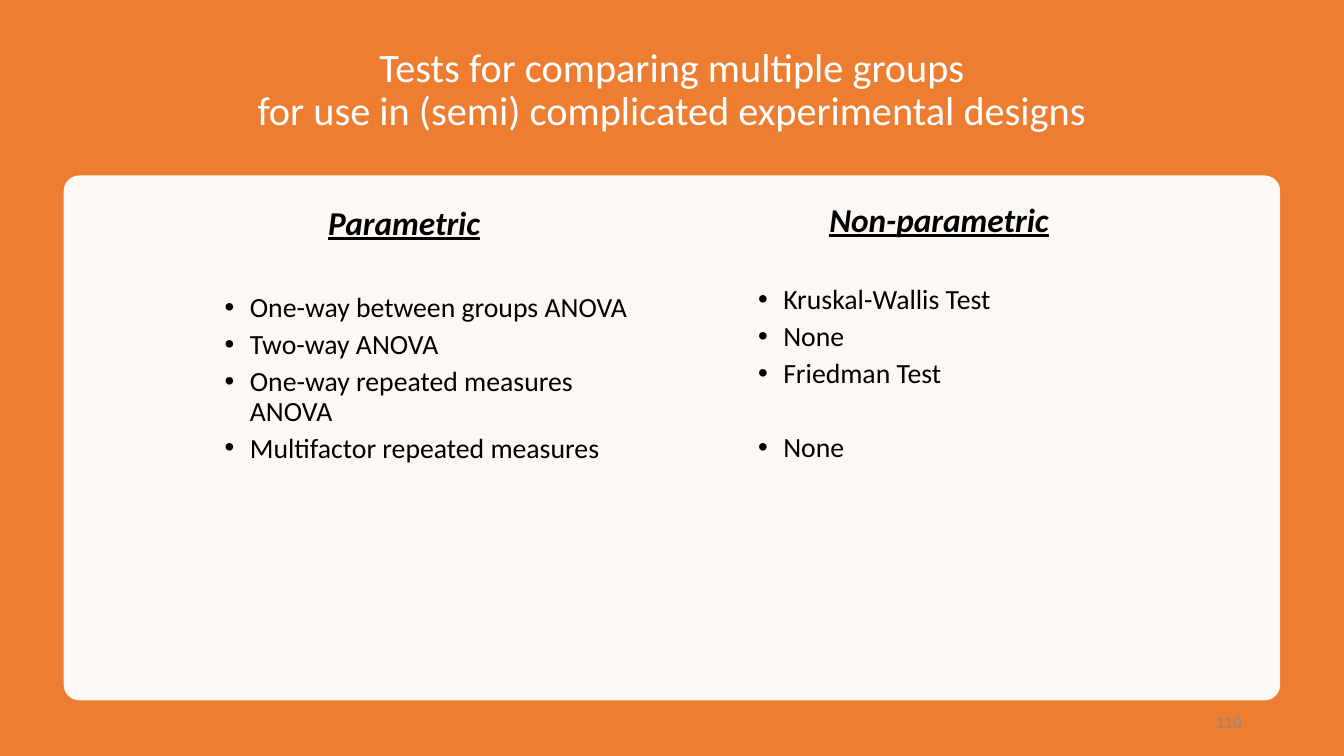
from lxml import etree
from pptx import Presentation
from pptx.dml import color
from pptx.enum import shapes, text
from pptx.oxml import ns
from pptx.util import Pt

FONT = "Calibri"
PAGE_WIDTH, PAGE_HEIGHT = 960, 540
HEADING_SIZE, ITEM_SIZE = 23.8, 19.8
ITEM_GAP = 5

# Each item: wording, space before in points
PARAMETRIC = [
    ("One-way between groups ANOVA", 36.2),
    ("Two-way ANOVA", ITEM_GAP),
    ("One-way repeated measures ANOVA", ITEM_GAP),
    ("Multifactor repeated measures", ITEM_GAP),
]
NON_PARAMETRIC = [
    ("Kruskal-Wallis Test", 32.8),
    ("None", ITEM_GAP),
    ("Friedman Test", ITEM_GAP),
    ("None", 31.8),
]


def rgb(value):
    return color.RGBColor.from_string(value)


def place(box, left, top, width, height):
    box.left, box.top, box.width, box.height = map(Pt, (left, top, width, height))


def set_font(paragraph, size, colour, emphasis=False):
    font = paragraph.font
    font.name, font.size = FONT, Pt(size)
    font.color.rgb = rgb(colour)
    font.bold = font.italic = font.underline = emphasis


def set_bullet(paragraph, left, hanging, character=None):
    properties = paragraph._p.get_or_add_pPr()
    properties.set("marL", str(Pt(left)))
    properties.set("indent", str(-Pt(hanging)))
    if character:
        bullet_font = etree.SubElement(properties, ns.qn("a:buFont"))
        bullet_font.set("typeface", "Arial")
        bullet = etree.SubElement(properties, ns.qn("a:buChar"))
        bullet.set("char", character)
    else:
        etree.SubElement(properties, ns.qn("a:buNone"))


def add_panel(page, kind, bounds, fill, opacity=100):
    """Add a plain panel behind the placeholders."""
    panel = page.shapes.add_shape(kind, *map(Pt, bounds))
    panel.shadow.inherit = False
    panel.fill.solid()
    panel.fill.fore_color.rgb = rgb(fill)
    panel.line.fill.background()
    if opacity < 100:
        colour = panel._element.spPr.find(".//" + ns.qn("a:srgbClr"))
        etree.SubElement(colour, ns.qn("a:alpha")).set("val", str(opacity * 1000))
    page.shapes.title._element.addprevious(panel._element)
    return panel


def fill_title(title, lines):
    place(title, 66, 34, 828, 81)
    frame = title.text_frame
    frame.auto_size = text.MSO_AUTO_SIZE.NONE
    frame.vertical_anchor = text.MSO_ANCHOR.TOP
    frame.margin_top = 0
    paragraph = frame.paragraphs[0]
    paragraph.alignment = text.PP_ALIGN.CENTER
    paragraph.line_spacing = 0.9
    set_font(paragraph, 28.8, "FFFFFF")
    for number, line in enumerate(lines):
        if number:
            paragraph.add_line_break()
        paragraph.add_run().text = line


def fill_column(box, bounds, heading, items):
    place(box, *bounds)
    frame = box.text_frame
    frame.auto_size = text.MSO_AUTO_SIZE.NONE
    frame.vertical_anchor = text.MSO_ANCHOR.TOP

    first = frame.paragraphs[0]
    first.text = heading
    first.alignment = text.PP_ALIGN.CENTER
    first.line_spacing = 0.9
    first.space_before = Pt(0)
    set_bullet(first, 18, 18)
    set_font(first, HEADING_SIZE, "000000", emphasis=True)

    for wording, gap in items:
        paragraph = frame.add_paragraph()
        paragraph.text = wording
        paragraph.level = 1
        paragraph.line_spacing = 0.9
        paragraph.space_before = Pt(gap)
        set_bullet(paragraph, 53.3, 18, "•")
        set_font(paragraph, ITEM_SIZE, "000000")


def add_page_number(page, number):
    box = page.shapes.add_textbox(Pt(678), Pt(501), Pt(216), Pt(28.8))
    frame = box.text_frame
    frame.word_wrap = True
    frame.vertical_anchor = text.MSO_ANCHOR.MIDDLE
    paragraph = frame.paragraphs[0]
    paragraph.text = number
    paragraph.alignment = text.PP_ALIGN.RIGHT
    set_font(paragraph, 12, "898989")


def main():
    deck = Presentation()
    deck.slide_width, deck.slide_height = Pt(PAGE_WIDTH), Pt(PAGE_HEIGHT)
    page = deck.slides.add_slide(deck.slide_layouts[3])

    # Backdrop and content card
    add_panel(page, shapes.MSO_SHAPE.RECTANGLE,
              (0, 0, PAGE_WIDTH, PAGE_HEIGHT), "ED7D31")
    card = add_panel(page, shapes.MSO_SHAPE.ROUNDED_RECTANGLE,
                     (45.5, 125.3, 869, 375), "FFFFFF", opacity=95)
    card.adjustments[0] = 0.03

    # Title and the two lists
    fill_title(page.shapes.title,
               ["Tests for comparing multiple groups",
                "for use in (semi) complicated experimental designs"])
    fill_column(page.placeholders[1], (118, 144, 341.3, 340.5),
                "Parametric", PARAMETRIC)
    fill_column(page.placeholders[2], (499, 141.8, 343.4, 313.2),
                "Non-parametric", NON_PARAMETRIC)

    add_page_number(page, "110")
    deck.save("out.pptx")


if __name__ == "__main__":
    main()
